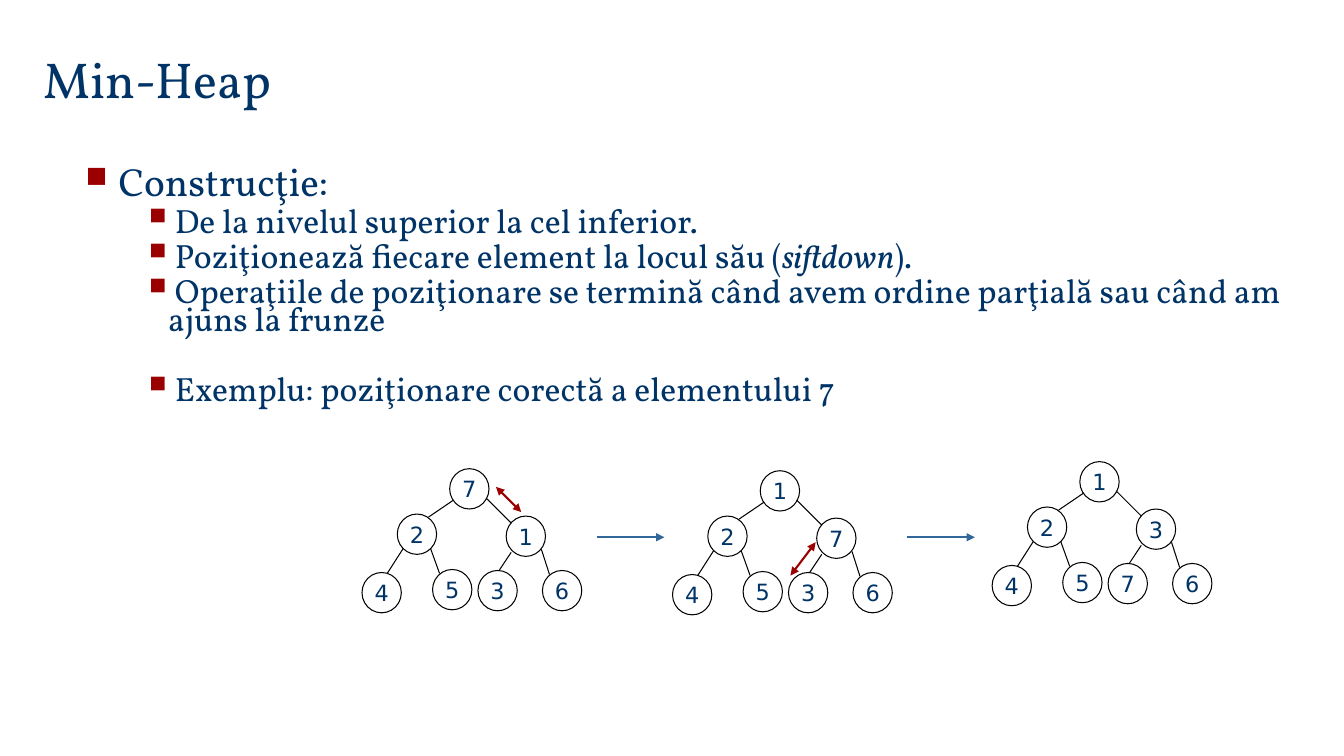
import pptx
import pptx.util
import pptx.dml.color
import pptx.enum.shapes
import pptx.enum.text
import pptx.oxml
import pptx.oxml.ns
from dataclasses import dataclass

GRID = pptx.util.Inches(0.01)  # the slide is 1333 columns by 750 rows
COLS, ROWS = 1333, 750


@dataclass(frozen=True)
class Theme:
    ink: str = "003366"
    accent: str = "9A0000"
    step: str = "336699"
    outline: str = "000000"
    paper: str = "FFFFFF"
    serif: str = "Vollkorn"
    sans: str = "DejaVu Sans"
    title: int = 36
    heading: int = 28
    body: int = 24
    node: int = 16
    thin: float = 0.75
    thick: float = 1.5


T = Theme()
NODE_W, NODE_H = 39, 40
# Heap order, as columns and rows from the corner of the tree's box
NODES = [(87, 0), (35, 45), (143, 47), (0, 103), (70, 100), (115, 101), (179, 101)]
EDGES = [(91, 31, 66, 48), (123, 29, 148, 54), (41, 79, 25, 104),
         (68, 79, 77, 104), (148, 83, 136, 101), (178, 80, 186, 105)]
# Box corner, values in heap order, swap arrow within the box
TREES = [((359, 465), "7214536", (133, 18, 158, 43)),
         ((667, 467), "1274536", (142, 71, 117, 104)),
         ((984, 458), "1234576", None)]
STEPS = [(592, 533, 659, 533), (900, 533, 967, 533)]
POINTS = [[" De la nivelul superior la cel inferior."],
          [" Poziţionează fiecare element la locul său (", "siftdown", ")."],
          [" Operaţiile de poziţionare se termină când avem ordine parţială "
           "sau când am ajuns la frunze"],
          [" Exemplu: poziţionare corectă a elementului 7"]]


def rgb(colour):
    return pptx.dml.color.RGBColor.from_string(colour)


def cells(*lengths):
    return [GRID * n for n in lengths]


def assign(obj, values):
    for name, value in values.items():
        setattr(obj, name, value)


def add_run(p, text, size, font, italic=None):
    r = p.add_run()
    r.text = text
    assign(r.font, {"size": pptx.util.Pt(size), "name": font, "italic": italic})
    r.font.color.rgb = rgb(T.ink)


def add_bullet(p, left, hang, percent):
    pPr = p._p.get_or_add_pPr()
    pPr.set("marL", str(GRID * left))
    pPr.set("indent", str(-GRID * hang))
    ns = pptx.oxml.ns.nsdecls("a")
    for xml in (f'<a:buClr {ns}><a:srgbClr val="{T.accent}"/></a:buClr>',
                f'<a:buSzPct {ns} val="{percent * 1000}"/>',
                f'<a:buChar {ns} char="■"/>'):
        pPr.append(pptx.oxml.parse_xml(xml))


def add_line(shapes, ends, colour, width, arrows=()):
    """Draw a straight line; arrows names the ends (headEnd, tailEnd) with a triangle."""
    line = shapes.add_connector(pptx.enum.shapes.MSO_CONNECTOR.STRAIGHT, *cells(*ends))
    line.line.color.rgb = rgb(colour)
    line.line.width = pptx.util.Pt(width)
    ns = pptx.oxml.ns.nsdecls("a")
    ln = line.line._get_or_add_ln()
    for end in arrows:
        ln.append(pptx.oxml.parse_xml(f'<a:{end} {ns} type="triangle"/>'))
    line._element.spPr.append(pptx.oxml.parse_xml(f"<a:effectLst {ns}/>"))


def add_title(s, box, text):
    sp = s.shapes.title
    assign(sp, dict(zip(("left", "top", "width", "height"), cells(*box))))
    tf = sp.text_frame
    assign(tf, {"vertical_anchor": pptx.enum.text.MSO_ANCHOR.BOTTOM,
                "auto_size": pptx.enum.text.MSO_AUTO_SIZE.NONE, "word_wrap": True})
    p = tf.paragraphs[0]
    p.alignment = pptx.enum.text.PP_ALIGN.LEFT
    add_run(p, text, T.title, T.serif)


def add_outline(s, box, heading, points):
    tf = s.shapes.add_textbox(*cells(*box)).text_frame
    tf.word_wrap = True
    p = tf.paragraphs[0]
    p.space_before = pptx.util.Pt(5.6)
    add_bullet(p, 25, 25, 75)
    add_run(p, heading, T.heading, T.serif)
    for point in points:
        p = tf.add_paragraph()
        before = 30 if point is points[-1] else 4.8
        assign(p, {"level": 1, "line_spacing": 0.7, "space_before": pptx.util.Pt(before)})
        add_bullet(p, 82, 19, 70)
        for i, text in enumerate(point):
            add_run(p, text, T.body, T.serif, italic=i == 1)


def add_node(shapes, x, y, value):
    sp = shapes.add_shape(pptx.enum.shapes.MSO_SHAPE.OVAL, *cells(x, y, NODE_W, NODE_H))
    sp.shadow.inherit = False
    sp.fill.solid()
    sp.fill.fore_color.rgb = rgb(T.paper)
    sp.line.color.rgb = rgb(T.outline)
    sp.line.width = pptx.util.Pt(T.thin)
    tf = sp.text_frame
    assign(tf, {"margin_left": 0, "margin_right": 0, "margin_top": 0, "margin_bottom": 0,
                "word_wrap": False, "vertical_anchor": pptx.enum.text.MSO_ANCHOR.MIDDLE})
    p = tf.paragraphs[0]
    p.alignment = pptx.enum.text.PP_ALIGN.CENTER
    add_run(p, value, T.node, T.sans)


def add_tree(s, corner, values, swap):
    x, y = corner

    def place(ends):
        return [a + b for a, b in zip(ends, (x, y, x, y))]

    shapes = s.shapes.add_group_shape().shapes
    for (dx, dy), value in zip(NODES, values):
        add_node(shapes, x + dx, y + dy, value)
    for edge in EDGES:
        add_line(shapes, place(edge), T.outline, T.thin)
    if swap:
        add_line(s.shapes, place(swap), T.accent, T.thick, ("headEnd", "tailEnd"))


def add_heap_slide(prs):
    s = prs.slides.add_slide(prs.slide_layouts.get_by_name("Title Only"))
    add_title(s, (33, 42, 1133, 71), "Min-Heap")
    add_outline(s, (75, 151, 1258, 532), " Construcţie:", POINTS)
    for tree in TREES:
        add_tree(s, *tree)
    for step in STEPS:
        add_line(s.shapes, step, T.step, T.thick, ("tailEnd",))


def main():
    prs = pptx.Presentation()
    assign(prs, {"slide_width": GRID * COLS, "slide_height": GRID * ROWS})
    add_heap_slide(prs)
    prs.save("out.pptx")


if __name__ == "__main__":
    main()
